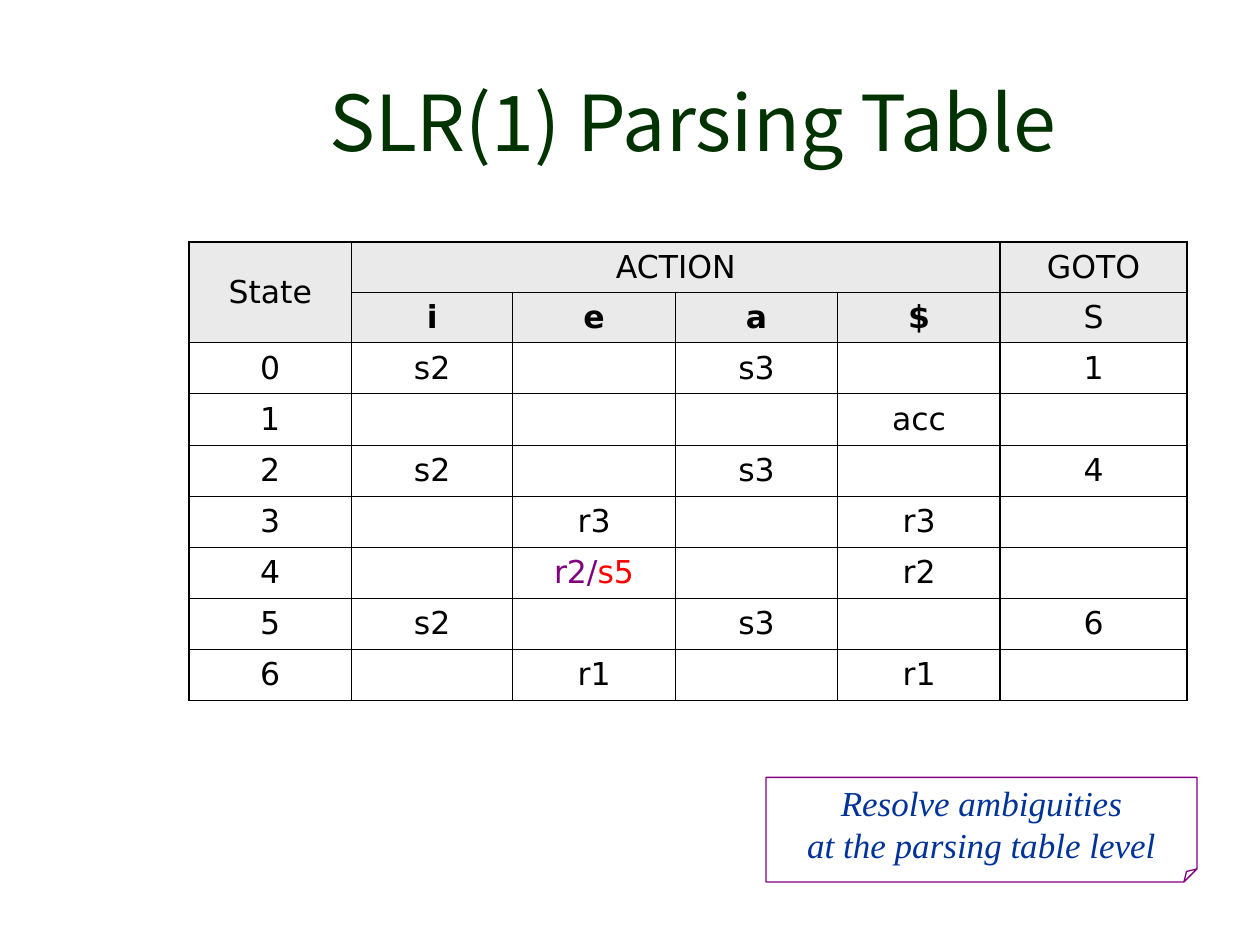
"""Build a slide showing an SLR(1) parsing table with one resolved conflict."""
from lxml import etree
from pptx import Presentation
from pptx.dml.color import RGBColor
from pptx.enum.shapes import MSO_SHAPE
from pptx.enum.text import MSO_ANCHOR, PP_ALIGN
from pptx.oxml.ns import qn
from pptx.util import Inches, Pt

CENTER = PP_ALIGN.CENTER
MIDDLE = MSO_ANCHOR.MIDDLE
FOLDED = MSO_SHAPE.FOLDED_CORNER

TITLE = "SLR(1) Parsing Table"
ROWS = [
    ["State", "ACTION", "", "", "", "GOTO"],
    ["", "i", "e", "a", "$", "S"],
    ["0", "s2", "", "s3", "", "1"],
    ["1", "", "", "", "acc", ""],
    ["2", "s2", "", "s3", "", "4"],
    ["3", "", "r3", "", "r3", ""],
    ["4", "", [("r2/", "800080"), ("s5", "FF0000")], "", "r2", ""],
    ["5", "s2", "", "s3", "", "6"],
    ["6", "", "r1", "", "r1", ""],
]
NOTE = ["Resolve ambiguities", "at the parsing table level"]
COL_WIDTHS = [1.29, 1.28, 1.29, 1.29, 1.29, 1.48]
TABLE_TOP, ROW_HEIGHT, HEADER_ROWS = 1.92, 0.4, 2
THICK_COLS, THICK_ROWS = {0, 1, 5, 6}, {0, len(ROWS)}
THIN, THICK = 0.45, 1.08
BLACK = "000000"


def rgb(color):
    return RGBColor.from_string(color)


def add_run(p, text, font, size, color, bold=False, italic=False):
    r = p.add_run()
    r.text = text
    r.font.name, r.font.size = font, Pt(size)
    r.font.bold, r.font.italic = bold, italic
    r.font.color.rgb = rgb(color)
    for tag in ("a:ea", "a:cs"):
        etree.SubElement(r.font._element, qn(tag), typeface=font)


def set_borders(cell, row, col):
    tc_pr = cell._tc.get_or_add_tcPr()
    thick = {"L": col in THICK_COLS, "R": col + 1 in THICK_COLS,
             "T": row in THICK_ROWS, "B": row + 1 in THICK_ROWS}
    for i, (side, heavy) in enumerate(thick.items()):
        ln = etree.Element(qn("a:ln" + side), w=str(int(Pt(THICK if heavy else THIN))))
        fill = etree.SubElement(ln, qn("a:solidFill"))
        etree.SubElement(fill, qn("a:srgbClr"), val=BLACK)
        tc_pr.insert(i, ln)


def add_title(s):
    title = s.shapes.title
    title.left, title.top = Inches(1.5), Inches(0.33)
    title.width, title.height = Inches(8), Inches(1.25)
    tf = title.text_frame
    tf.vertical_anchor = MIDDLE
    p = tf.paragraphs[0]
    p.alignment = CENTER
    add_run(p, TITLE, "Noto Sans CJK SC", 44, "003300")


def add_parsing_table(s):
    table = s.shapes.add_table(
        len(ROWS), len(COL_WIDTHS), Inches(1.5), Inches(TABLE_TOP),
        Inches(sum(COL_WIDTHS)), Inches(ROW_HEIGHT * len(ROWS))).table
    table.first_row = table.horz_banding = False
    for column, width in zip(table.columns, COL_WIDTHS):
        column.width = Inches(width)
    for i, row in enumerate(ROWS):
        table.rows[i].height = Inches(ROW_HEIGHT)
        for j, value in enumerate(row):
            cell = table.cell(i, j)
            cell.vertical_anchor = MIDDLE
            cell.fill.solid()
            cell.fill.fore_color.rgb = rgb("EAEAEA" if i < HEADER_ROWS else "FFFFFF")
            set_borders(cell, i, j)
            p = cell.text_frame.paragraphs[0]
            p.alignment, p.space_before = CENTER, Pt(5.6)
            parts = [(value, BLACK)] if isinstance(value, str) else value
            for text, color in parts:
                if text:
                    add_run(p, text, "DejaVu Sans", 18, color,
                            bold=i == 1 and 1 <= j <= 4)
    table.cell(0, 0).merge(table.cell(1, 0))
    table.cell(0, 1).merge(table.cell(0, 4))


def add_note(s):
    sp = s.shapes.add_shape(FOLDED, Inches(6.08), Inches(6.17),
                            Inches(3.42), Inches(0.83))
    guides = next(sp._element.iter(qn("a:avLst")))
    etree.SubElement(guides, qn("a:gd"), name="adj", fmla="val 12500")
    sp.shadow.inherit = False
    sp.fill.background()
    sp.line.color.rgb, sp.line.width = rgb("800080"), Pt(0.75)
    tf = sp.text_frame
    tf.word_wrap, tf.vertical_anchor = False, MIDDLE
    for i, line in enumerate(NOTE):
        p = tf.add_paragraph() if i else tf.paragraphs[0]
        p.alignment = CENTER
        add_run(p, line, "Times New Roman", 20, "003399", italic=True)


def main():
    prs = Presentation()
    prs.slide_width, prs.slide_height = Inches(10), Inches(7.5)
    s = prs.slides.add_slide(prs.slide_layouts[5])
    add_title(s)
    add_parsing_table(s)
    add_note(s)
    prs.save("out.pptx")


if __name__ == "__main__":
    main()
